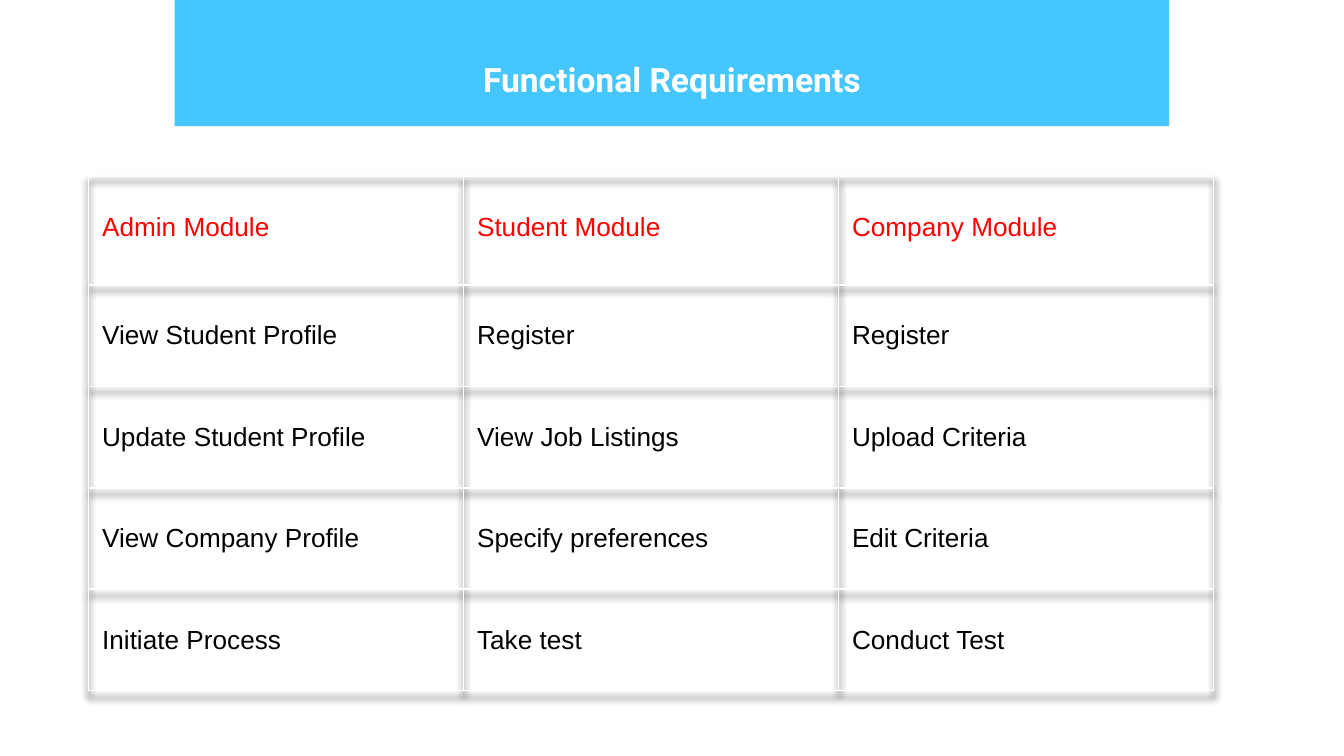
from lxml.etree import SubElement
from pptx import Presentation
from pptx.dml.color import RGBColor
from pptx.enum.shapes import MSO_SHAPE
from pptx.enum.text import MSO_ANCHOR, PP_ALIGN
from pptx.oxml import parse_xml
from pptx.oxml.ns import nsdecls, qn
from pptx.util import Inches, Pt

COLORS = {"banner": "00B2FF", "title": "FFFFFF", "border": "FFFFFF",
          "heading": "FF0000", "body": "000000", "shadow": "000000"}
TITLE_FONT = {"name": "Roboto", "size": Pt(18), "bold": True}
CELL_FONT = {"name": "Arial", "size": Pt(14), "bold": False}
CELL_FORMAT = {"vertical_anchor": MSO_ANCHOR.TOP, "margin_top": Inches(0.27),
               "margin_bottom": Inches(0.05), "margin_left": Inches(0.1),
               "margin_right": Inches(0.1)}
MODULES = {
    "Admin Module": ["View Student Profile", "Update Student Profile",
                     "View Company Profile", "Initiate Process"],
    "Student Module": ["Register", "View Job Listings",
                       "Specify preferences", "Take test"],
    "Company Module": ["Register", "Upload Criteria",
                       "Edit Criteria", "Conduct Test"],
}


def apply_format(target, values):
    for name, value in values.items():
        setattr(target, name, value)


def write_text(text_frame, text, font, color):
    paragraph = text_frame.paragraphs[0]
    run = paragraph.add_run()
    run.text = text
    apply_format(run.font, font)
    run.font.color.rgb = RGBColor.from_string(COLORS[color])
    return paragraph


def add_banner(slide, left, top, width, height, title):
    banner = slide.shapes.add_shape(
        MSO_SHAPE.RECTANGLE, Inches(left), Inches(top), Inches(width), Inches(height))
    banner.shadow.inherit = False
    banner.fill.solid()
    banner.fill.fore_color.rgb = RGBColor.from_string(COLORS["banner"])
    color = banner.fill._xPr.find(qn("a:solidFill"))[0]
    SubElement(color, qn("a:alpha"), val="73000")
    banner.line.fill.background()

    text_box = slide.shapes.add_textbox(
        Inches(left), Inches(top + 0.31), Inches(width), Inches(0.55))
    text_frame = text_box.text_frame
    apply_format(text_frame, {"word_wrap": True, "vertical_anchor": MSO_ANCHOR.MIDDLE})
    write_text(text_frame, title, TITLE_FONT, "title").alignment = PP_ALIGN.CENTER


def add_borders(cell):
    properties = cell._tc.get_or_add_tcPr()
    for side in "LRTB":
        line = SubElement(properties, qn(f"a:ln{side}"), w=str(Pt(1)))
        fill = SubElement(line, qn("a:solidFill"))
        SubElement(fill, qn("a:srgbClr"), val=COLORS["border"])


def add_table_shadow(table):
    table._tbl.tblPr.insert(0, parse_xml(
        f'<a:effectLst {nsdecls("a")}>'
        f'<a:outerShdw blurRad="{Pt(4)}" dist="{Pt(3)}" dir="5400000" algn="t" rotWithShape="0">'
        f'<a:srgbClr val="{COLORS["shadow"]}"><a:alpha val="85000"/></a:srgbClr>'
        '</a:outerShdw></a:effectLst>'))


def add_module_table(slide, left, top, width, height, heading_height):
    row_count = 1 + max(len(tasks) for tasks in MODULES.values())
    row_height = (height - heading_height) / (row_count - 1)
    table = slide.shapes.add_table(
        row_count, len(MODULES), Inches(left), Inches(top),
        Inches(width), Inches(height)).table
    apply_format(table, {"first_row": False, "horz_banding": False})
    add_table_shadow(table)
    for row_index, row in enumerate(table.rows):
        row.height = Inches(row_height if row_index else heading_height)
    for column_index, (heading, tasks) in enumerate(MODULES.items()):
        table.columns[column_index].width = Inches(width / len(MODULES))
        for row_index, text in enumerate([heading, *tasks]):
            cell = table.cell(row_index, column_index)
            apply_format(cell, CELL_FORMAT)
            add_borders(cell)
            cell.fill.background()
            write_text(cell.text_frame, text, CELL_FONT,
                       "body" if row_index else "heading")


def main():
    presentation = Presentation()
    presentation.slide_width = Inches(10)
    presentation.slide_height = presentation.slide_width * 9 // 16
    slide = presentation.slides.add_slide(presentation.slide_layouts[6])
    add_banner(slide, 1.3, 0, 7.4, 0.94, "Functional Requirements")
    add_module_table(slide, 0.66, 1.31, 8.37, 3.83, 0.81)
    presentation.save("out.pptx")


if __name__ == "__main__":
    main()
